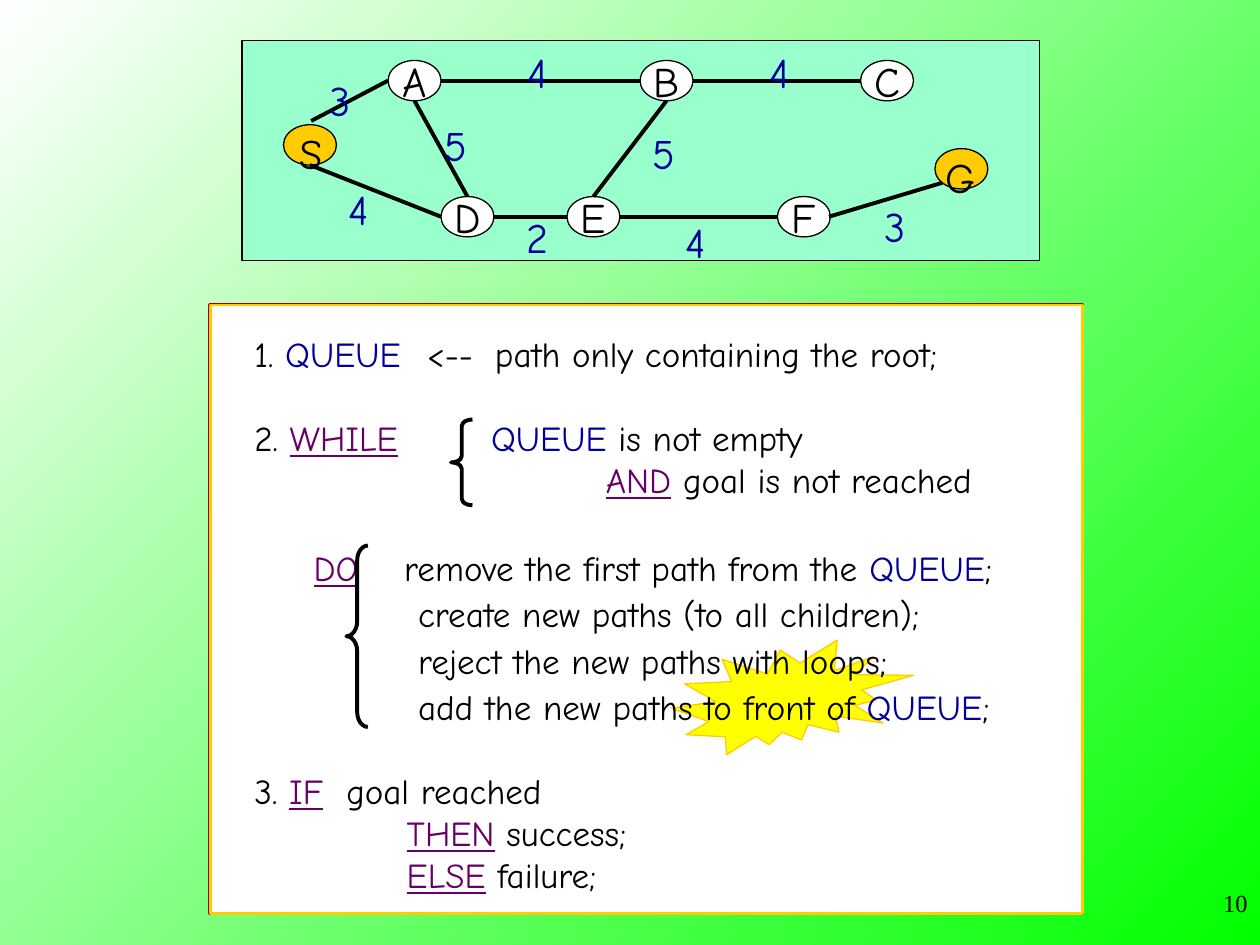
"""Build the slide on depth-first search: a weighted graph above its pseudocode."""
from pptx import Presentation
from pptx.dml.color import RGBColor
from pptx.enum.shapes import MSO_CONNECTOR, MSO_SHAPE as SHP
from pptx.enum.text import MSO_ANCHOR, PP_ALIGN
from pptx.oxml.ns import qn
from pptx.util import Inches, Pt
from lxml import etree

COLORS = {"black": "000000", "white": "FFFFFF", "green": "00FF00", "mint": "99FFCC",
          "gold": "FFCC00", "yellow": "FFFF00", "red": "990000",
          "blue": "000099", "purple": "660066"}
RGB = {name: RGBColor.from_string(value) for name, value in COLORS.items()}
FONT = "Comic Neue"

prs = Presentation()
prs.slide_width, prs.slide_height = Inches(10), Inches(7.5)
s = prs.slides.add_slide(prs.slide_layouts[6])

bg = s.background.fill
bg.gradient()
bg.gradient_angle = 135
for stop, color in zip(bg.gradient_stops, ("green", "white")):
    stop.color.rgb = RGB[color]


def add_shape(kind, box, fill, line, width=0.75):
    sp = s.shapes.add_shape(kind, *map(Inches, box))
    sp.shadow.inherit = False
    if fill:
        sp.fill.solid()
        sp.fill.fore_color.rgb = RGB[fill]
    else:
        sp.fill.background()
    sp.line.color.rgb = RGB[line]
    sp.line.width = Pt(width)
    return sp


def set_text(sp, text, color="black", size=24, font=FONT, align=PP_ALIGN.LEFT):
    tf = sp.text_frame
    tf.word_wrap = False
    p = tf.paragraphs[0]
    p.text = text
    p.alignment = align
    p.font.size, p.font.name = Pt(size), font
    p.font.color.rgb = RGB[color]
    return tf


add_shape(SHP.RECTANGLE, (1.92, 0.32, 6.33, 1.75), "mint", "black")

NODE_W, NODE_H = 0.42, 0.32
TOP, BOTTOM = 0.48, 1.56
nodes = [("A", 3.08, TOP), ("D", 3.5, BOTTOM), ("B", 5.08, TOP),
         ("E", 4.5, BOTTOM), ("C", 6.83, TOP), ("F", 6.17, BOTTOM)]
for name, x, y in nodes:
    sp = add_shape(SHP.OVAL, (x, y, NODE_W, NODE_H), "white", "black")
    tf = set_text(sp, name, align=PP_ALIGN.CENTER)
    tf.vertical_anchor = MSO_ANCHOR.MIDDLE

for x, y in [(7.42, 1.18), (2.25, 0.99)]:
    add_shape(SHP.OVAL, (x, y, NODE_W, NODE_H), "gold", "black")

edges = [(2.47, 0.96, 3.08, 0.64), (2.46, 1.31, 3.5, 1.72), (3.5, 0.64, 5.08, 0.64),
         (3.92, 1.72, 4.5, 1.72), (5.5, 0.64, 6.83, 0.64), (4.92, 1.72, 6.17, 1.72),
         (6.58, 1.72, 7.48, 1.45), (3.29, 0.8, 3.71, 1.56), (4.71, 1.56, 5.29, 0.8)]
for edge in edges:
    cn = s.shapes.add_connector(MSO_CONNECTOR.STRAIGHT, *map(Inches, edge))
    cn.line.color.rgb = RGB["black"]
    cn.line.width = Pt(2.25)
    etree.SubElement(cn._element.spPr, qn("a:effectLst"))

labels = [("G", 7.41, 1.15, 0.44), ("S", 2.28, 0.96, 0.38),
          ("3", 2.52, 0.54, 0.37), ("4", 2.67, 1.41, 0.36), ("4", 4.09, 0.32, 0.36),
          ("4", 5.34, 1.67, 0.36), ("5", 3.43, 0.9, 0.38), ("5", 5.08, 0.96, 0.38),
          ("4", 6.01, 0.32, 0.36), ("3", 6.92, 1.54, 0.37), ("2", 4.08, 1.63, 0.37)]
for text, x, y, w in labels:
    tb = s.shapes.add_textbox(Inches(x), Inches(y), Inches(w), Inches(0.5))
    set_text(tb, text, "blue" if text.isdigit() else "black")

PANEL = (1.67, 2.42, 6.92, 4.83)
add_shape(SHP.RECTANGLE, PANEL, "white", "red", 2.25)
add_shape(SHP.RECTANGLE, PANEL, "white", "gold", 1.5)
add_shape(SHP.EXPLOSION2, (5.33, 5.08, 1.92, 0.91), "yellow", "gold")

KEYWORDS = {"WHILE", "AND", "DO", "IF", "THEN", "ELSE"}
steps = [
    (0, 1, [1.37, 1.91], ["1. ", "QUEUE", "\t<--\tpath only containing the root;"]),
    (24, 1, [1.88], ["2. ", "WHILE", "\t", "QUEUE", " is not empty"]),
    (0, 1, [2.79], ["\t", "AND", " goal is not reached"]),
    (24, 1.1, [0.47, 1.19],
     ["\t", "DO", "\tremove the first path from the ", "QUEUE", ";"]),
    (0, 1.1, [1.3], ["\tcreate new paths (to all children);"]),
    (0, 1.1, [1.3], ["\treject the new paths with loops;"]),
    (0, 1.1, [1.3], ["\tadd the new paths to front of ", "QUEUE", ";"]),
    (24, 1, [0.73], ["3. ", "IF", "\tgoal reached"]),
    (0, 1, [1.21], ["\t", "THEN", " success;"]),
    (0, 1, [1.21], ["\t", "ELSE", " failure;"]),
]
tb = s.shapes.add_textbox(Inches(1.92), Inches(2.59), Inches(6.4), Inches(4.57))
tf = tb.text_frame
tf.word_wrap = True
for i, (before, spacing, tabs, parts) in enumerate(steps):
    p = tf.add_paragraph() if i else tf.paragraphs[0]
    tab_list = etree.SubElement(p._p.get_or_add_pPr(), qn("a:tabLst"))
    for pos in tabs:
        etree.SubElement(tab_list, qn("a:tab"), pos=str(Inches(pos)), algn="l")
    p.font.size, p.font.name = Pt(20), FONT
    p.line_spacing = spacing
    if before:
        p.space_before = Pt(before)
    for part in parts:
        r = p.add_run()
        r.text = part
        color = "purple" if part in KEYWORDS else "blue" if part == "QUEUE" else "black"
        r.font.color.rgb = RGB[color]
        if part in KEYWORDS:
            r.font.underline = True

for box, curve in [((3.58, 3.33, 0.17, 0.68), 0.3), ((2.75, 4.33, 0.17, 1.44), 0.7)]:
    brace = add_shape(SHP.LEFT_BRACE, box, None, "black", 2.25)
    brace.adjustments[0] = curve

tb = s.shapes.add_textbox(Inches(7.92), Inches(7), Inches(2.08), Inches(0.5))
tf = set_text(tb, "10", size=14, font="Times New Roman", align=PP_ALIGN.RIGHT)
tf.word_wrap = True

prs.save("out.pptx")
